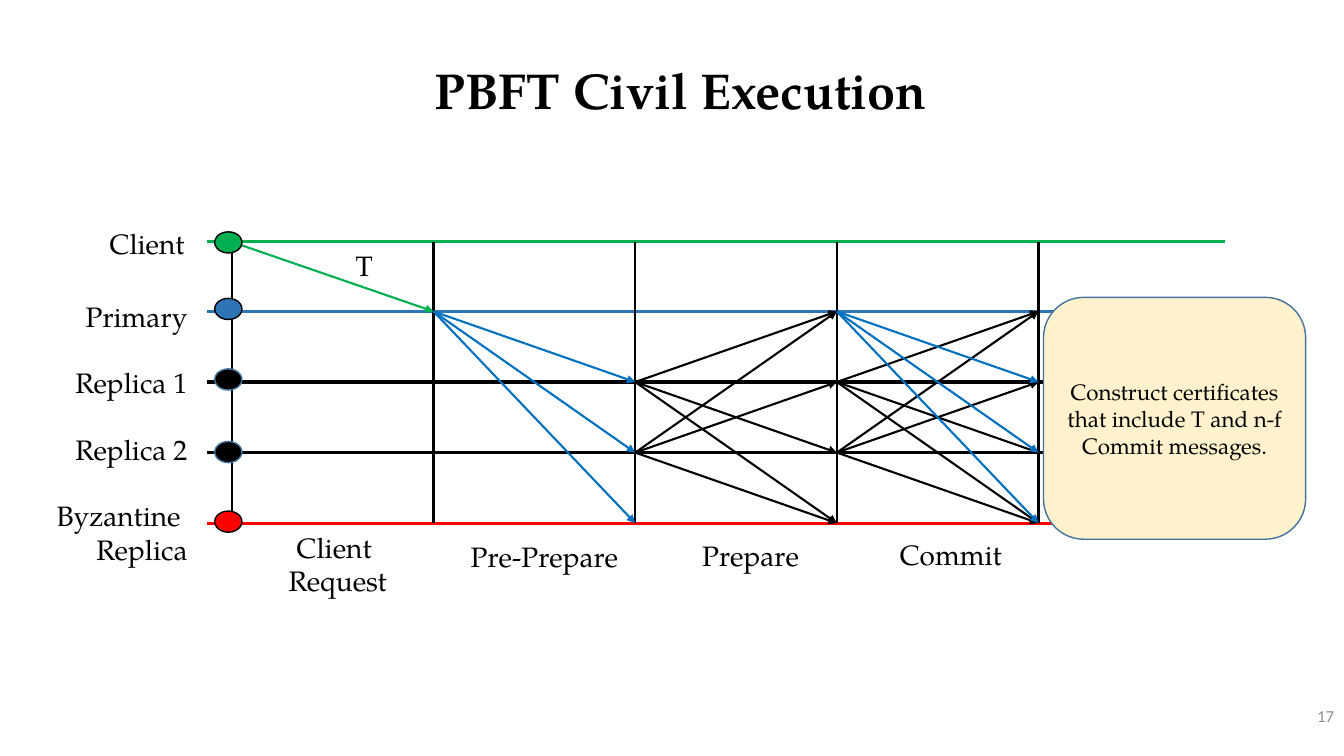
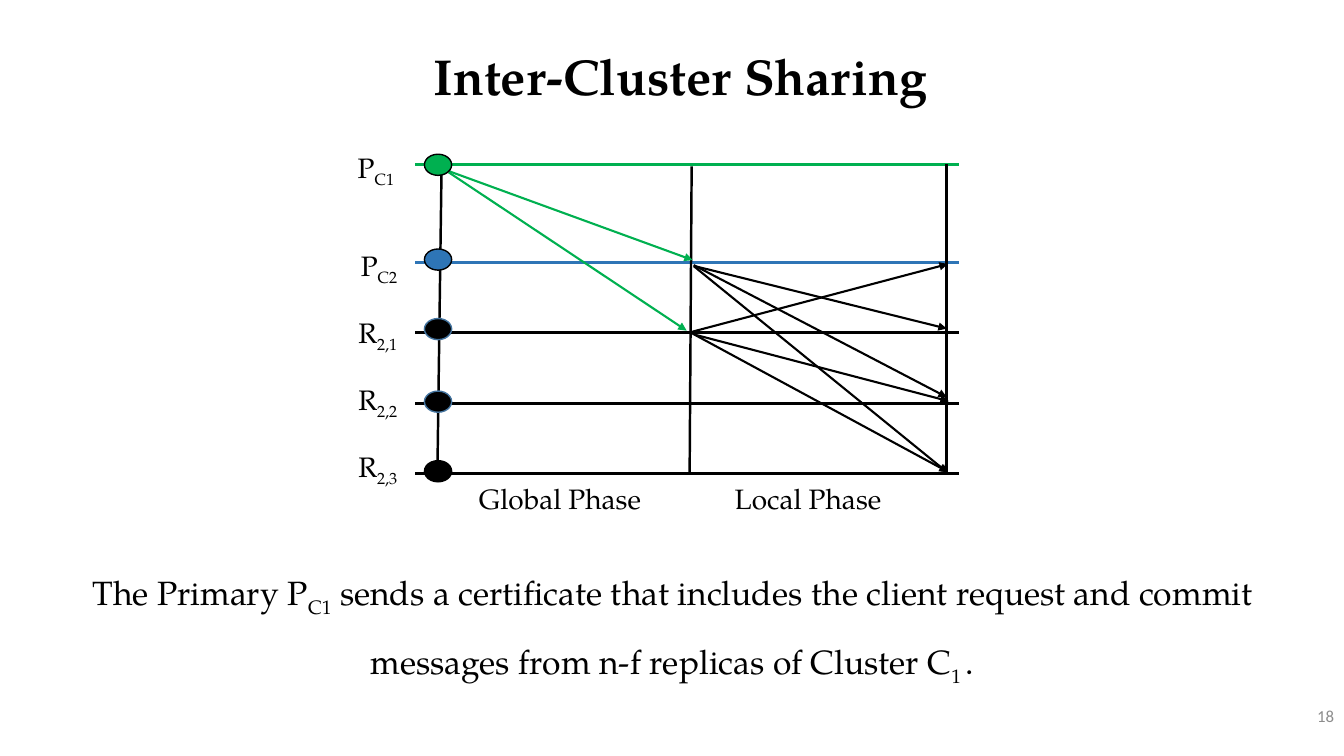
"""Build two message-flow slides about PBFT and inter-cluster sharing."""
from dataclasses import dataclass
from typing import Any, Sequence

from pptx import Presentation
from pptx.dml.color import RGBColor
from pptx.enum.shapes import MSO_CONNECTOR, MSO_SHAPE
from pptx.enum.text import MSO_ANCHOR, MSO_AUTO_SIZE, PP_ALIGN
from pptx.oxml import parse_xml
from pptx.oxml.ns import nsdecls
from pptx.util import Emu, Pt

EMU_PER_PX = 9144
BLACK = RGBColor(0x00, 0x00, 0x00)
WHITE = RGBColor(0xFF, 0xFF, 0xFF)
GREEN = RGBColor(0x00, 0xB0, 0x50)
LANE_BLUE = RGBColor(0x2E, 0x75, 0xB6)
ARROW_BLUE = RGBColor(0x00, 0x70, 0xC0)
RED = RGBColor(0xFF, 0x00, 0x00)
CREAM = RGBColor(0xFF, 0xF2, 0xCC)
OUTLINE = RGBColor(0x43, 0x73, 0x9E)
GREY = RGBColor(0x8C, 0x8C, 0x8C)

SERIF = "TeX Gyre Pagella"
TITLE_FONT = {"name": SERIF, "size": Pt(36), "bold": True}
BODY_FONT = {"name": SERIF, "size": Pt(24)}
LABEL_FONT = {"name": SERIF, "size": Pt(20)}
CALLOUT_FONT = {"name": SERIF, "size": Pt(16)}
NUMBER_FONT = {"name": "Calibri", "size": Pt(12)}

LANE_WIDTH, COLUMN_WIDTH, ARROW_WIDTH = Pt(2.25), Pt(1.75), Pt(1.5)
DOT_SIZE = (27, 21)


@dataclass(frozen=True)
class Box:
    """A rectangle in px."""

    left: int
    top: int
    width: int
    height: int


@dataclass(frozen=True)
class Line:
    """A straight line in px."""

    start: tuple[int, int]
    end: tuple[int, int]
    color: RGBColor = BLACK


@dataclass(frozen=True)
class Lane:
    """A participant's time line with its dot and label."""

    label: str
    label_box: Box
    y: int
    dot_top: int
    color: RGBColor = BLACK
    dot_outline: RGBColor = BLACK


@dataclass(frozen=True)
class Caption:
    """A centred phase name."""

    text: str
    box: Box


@dataclass(frozen=True)
class Diagram:
    """A set of lanes crossed by phase boundaries and messages."""

    left: int
    right: int
    dot_left: int
    lanes: Sequence[Lane]
    columns: Sequence[Line]
    arrows: Sequence[Line]
    captions: Sequence[Caption]


def px(value: int) -> Emu:
    """Turn px into EMU."""
    return Emu(value * EMU_PER_PX)


def place(box: Box) -> tuple[Emu, Emu, Emu, Emu]:
    """Give the four lengths of a box in EMU."""
    return px(box.left), px(box.top), px(box.width), px(box.height)


def apply_format(target: Any, values: dict[str, Any]) -> None:
    """Set every attribute named in the format."""
    for name, value in values.items():
        setattr(target, name, value)


def write(frame: Any, text: str, font: dict[str, Any], paragraph_format: dict[str, Any],
          color: RGBColor = BLACK) -> None:
    """Write one paragraph per line; bars enclose subscripts."""
    for index, content in enumerate(text.split("\n")):
        paragraph = frame.add_paragraph() if index else frame.paragraphs[0]
        apply_format(paragraph, paragraph_format)
        for position, part in enumerate(content.split("|")):
            if not part:
                continue
            run = paragraph.add_run()
            run.text = part
            apply_format(run.font, font)
            run.font.color.rgb = color
            if position % 2:
                run._r.get_or_add_rPr().set("baseline", "-25000")


def add_text(slide: Any, box: Box, text: str, alignment: PP_ALIGN,
             font: dict[str, Any] = LABEL_FONT, wrap: bool = False,
             line_spacing: float = 1.0) -> None:
    """Add a text box that grows with its text."""
    frame = slide.shapes.add_textbox(*place(box)).text_frame
    apply_format(frame, {"word_wrap": wrap, "auto_size": MSO_AUTO_SIZE.SHAPE_TO_FIT_TEXT})
    write(frame, text, font, {"alignment": alignment, "line_spacing": line_spacing})


def add_line(slide: Any, line: Line, width: Pt, arrow: bool = False) -> None:
    """Draw a line, with an arrowhead at its end if asked."""
    points = [px(value) for value in (*line.start, *line.end)]
    connector = slide.shapes.add_connector(MSO_CONNECTOR.STRAIGHT, *points)
    connector.line.color.rgb = line.color
    connector.line.width = width
    if arrow:
        head = parse_xml(f'<a:tailEnd {nsdecls("a")} type="triangle"/>')
        connector.line._get_or_add_ln().append(head)
    connector._element.spPr.append(parse_xml(f'<a:effectLst {nsdecls("a")}/>'))


def add_filled_shape(slide: Any, kind: MSO_SHAPE, box: Box, fill: RGBColor,
                     outline: RGBColor) -> Any:
    """Add a preset shape with a thin outline."""
    shape = slide.shapes.add_shape(kind, *place(box))
    shape.shadow.inherit = False
    shape.fill.solid()
    shape.fill.fore_color.rgb = fill
    shape.line.color.rgb = outline
    shape.line.width = Pt(1)
    return shape


def add_callout(slide: Any, box: Box, text: str) -> None:
    """Add the rounded note."""
    shape = add_filled_shape(slide, MSO_SHAPE.ROUNDED_RECTANGLE, box, CREAM, OUTLINE)
    apply_format(shape.text_frame, {"word_wrap": True, "vertical_anchor": MSO_ANCHOR.MIDDLE})
    write(shape.text_frame, text, CALLOUT_FONT, {"alignment": PP_ALIGN.CENTER})


def add_titled_slide(presentation: Any, title: str, title_top: int, number: int) -> Any:
    """Add a white slide with its title and number."""
    slide = presentation.slides.add_slide(presentation.slide_layouts[5])
    slide.background.fill.solid()
    slide.background.fill.fore_color.rgb = WHITE
    shape = slide.shapes.title
    left, top, width, height = place(Box(100, title_top, 1150, 78))
    apply_format(shape, {"left": left, "top": top, "width": width, "height": height})
    apply_format(shape.text_frame, {
        "word_wrap": True,
        "vertical_anchor": MSO_ANCHOR.MIDDLE,
        "auto_size": MSO_AUTO_SIZE.SHAPE_TO_FIT_TEXT,
    })
    write(shape.text_frame, title, TITLE_FONT,
          {"alignment": PP_ALIGN.CENTER, "line_spacing": 1.2})
    frame = slide.shapes.add_textbox(*place(Box(1163, 690, 170, 40))).text_frame
    apply_format(frame, {"word_wrap": True, "vertical_anchor": MSO_ANCHOR.MIDDLE})
    write(frame, str(number), NUMBER_FONT, {"alignment": PP_ALIGN.RIGHT}, GREY)
    return slide


def draw_diagram(slide: Any, diagram: Diagram) -> None:
    """Draw lanes, messages, boundaries, captions and dots."""
    for lane in diagram.lanes:
        add_line(slide, Line((diagram.left, lane.y), (diagram.right, lane.y), lane.color),
                 LANE_WIDTH)
        add_text(slide, lane.label_box, lane.label, PP_ALIGN.RIGHT)
    for column in diagram.columns:
        add_line(slide, column, COLUMN_WIDTH)
    for arrow in diagram.arrows:
        add_line(slide, arrow, ARROW_WIDTH, arrow=True)
    for caption in diagram.captions:
        add_text(slide, caption.box, caption.text, PP_ALIGN.CENTER)
    for lane in diagram.lanes:
        add_filled_shape(slide, MSO_SHAPE.OVAL, Box(diagram.dot_left, lane.dot_top, *DOT_SIZE),
                         lane.color, lane.dot_outline)


def civil_diagram() -> Diagram:
    """Describe the PBFT phases."""
    lanes = (
        Lane("Client", Box(98, 220, 95, 44), 240, 230, GREEN),
        Lane("Primary", Box(74, 292, 122, 44), 309, 296, LANE_BLUE),
        Lane("Replica 1", Box(63, 358, 133, 44), 379, 366, dot_outline=OUTLINE),
        Lane("Replica 2", Box(63, 424, 133, 44), 449, 438, dot_outline=OUTLINE),
        Lane("Byzantine \nReplica", Box(45, 490, 151, 77), 519, 507, RED),
    )
    column_x = [230 + 200 * index for index in range(5)]
    columns = [Line((x, lanes[0].y), (x, lanes[-1].y)) for x in column_x]
    from_primary = {1: (2, 3, 4)}
    from_replicas = {2: (1, 3, 4), 3: (1, 2, 4)}
    rounds = (
        (0, GREEN, {0: (1,)}),
        (1, ARROW_BLUE, from_primary),
        (2, BLACK, from_replicas),
        (3, BLACK, from_replicas),
        (3, ARROW_BLUE, from_primary),
    )
    arrows = [
        Line((column_x[phase], lanes[sender].y), (column_x[phase + 1], lanes[receiver].y), color)
        for phase, color, messages in rounds
        for sender, receivers in messages.items()
        for receiver in receivers
    ]
    captions = (
        Caption("Client \nRequest", Box(275, 521, 120, 77)),
        Caption("Pre-Prepare ", Box(456, 530, 175, 44)),
        Caption("Prepare ", Box(686, 529, 124, 44)),
        Caption("Commit ", Box(882, 528, 129, 44)),
    )
    return Diagram(205, 1215, 213, lanes, columns, arrows, captions)


def sharing_diagram() -> Diagram:
    """Describe the global and local phases."""
    lanes = (
        Lane("P|C1|", Box(341, 144, 60, 44), 163, 153, GREEN),
        Lane("P|C2|", Box(344, 242, 60, 44), 260, 247, LANE_BLUE),
        Lane("R|2,1|", Box(342, 308, 62, 44), 330, 316, dot_outline=OUTLINE),
        Lane("R|2,2|", Box(342, 375, 62, 44), 400, 388, dot_outline=OUTLINE),
        Lane("R|2,3|", Box(342, 441, 62, 44), 470, 457),
    )
    columns = (
        Line((438, 163), (434, 457)),
        Line((686, 165), (684, 470)),
        Line((939, 163), (939, 469)),
    )
    arrows = (
        Line((443, 169), (687, 258), GREEN),
        Line((445, 171), (681, 328), GREEN),
        Line((687, 329), (940, 262)),
        Line((688, 263), (939, 394)),
        Line((688, 264), (940, 469)),
        Line((689, 332), (941, 398)),
        Line((687, 331), (940, 468)),
        Line((689, 264), (939, 326)),
    )
    captions = (
        Caption("Global Phase", Box(464, 473, 183, 44)),
        Caption("Local Phase", Box(718, 473, 167, 44)),
    )
    return Diagram(412, 951, 421, lanes, columns, arrows, captions)


def main() -> None:
    """Build and save the presentation."""
    presentation = Presentation()
    apply_format(presentation, {"slide_width": px(1333), "slide_height": px(750)})

    civil = add_titled_slide(presentation, "PBFT Civil Execution", 44, 17)
    draw_diagram(civil, civil_diagram())
    add_text(civil, Box(343, 242, 37, 44), "T", PP_ALIGN.LEFT, wrap=True)
    add_callout(civil, Box(1035, 295, 260, 240),
                "Construct certificates that include T and n-f Commit messages.")

    sharing = add_titled_slide(presentation, "Inter-Cluster Sharing", 30, 18)
    draw_diagram(sharing, sharing_diagram())
    add_text(sharing, Box(35, 540, 1264, 125),
             "The Primary P|C1| sends a certificate that includes the client request and commit "
             "messages from n-f replicas of Cluster C|1 |.",
             PP_ALIGN.CENTER, BODY_FONT, wrap=True, line_spacing=1.5)

    presentation.save("out.pptx")


if __name__ == "__main__":
    main()
